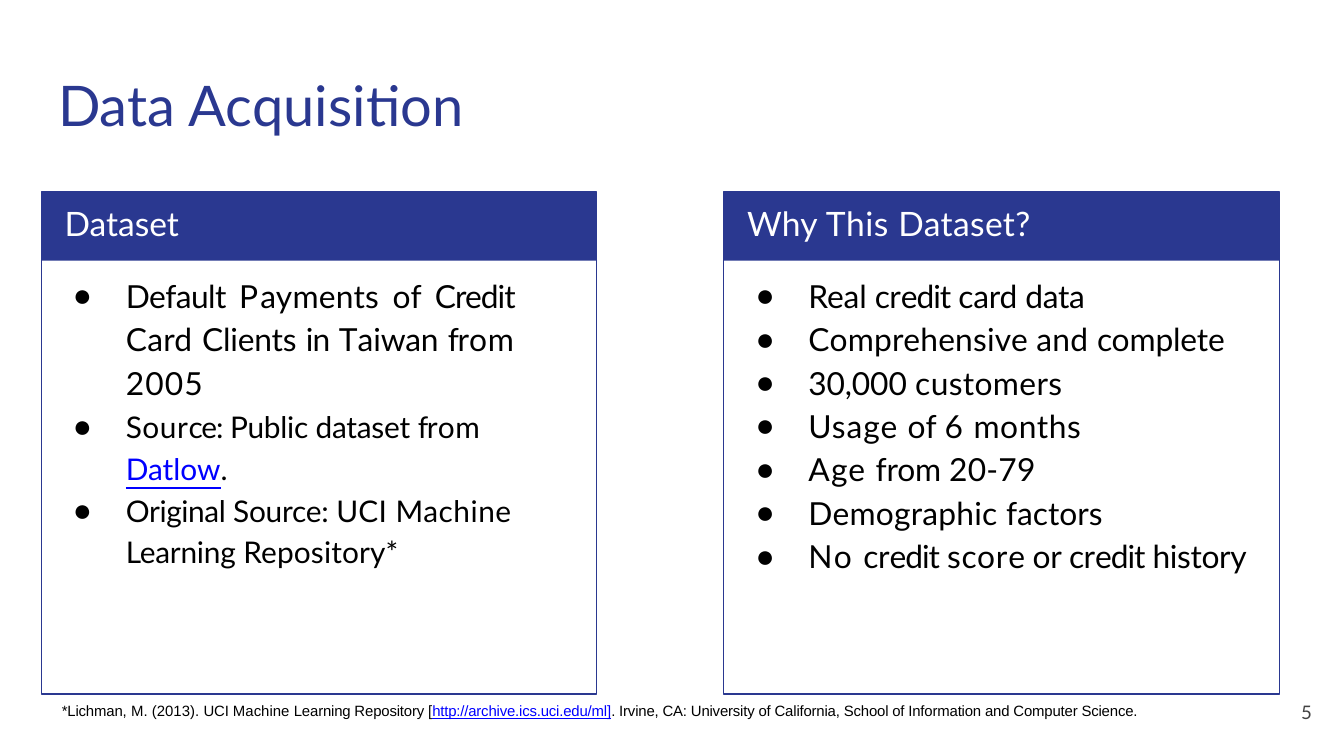
from lxml.etree import SubElement
from pptx import Presentation
from pptx.dml.color import RGBColor
from pptx.enum.shapes import MSO_SHAPE
from pptx.enum.text import MSO_ANCHOR, PP_ALIGN
from pptx.oxml.ns import qn
from pptx.util import Cm, Pt

NAVY, BLACK, WHITE, GREY, LINK = "2A3890", "000000", "FFFFFF", "434343", "0000FF"
TOP, WIDE, TALL, HEAD = 3.63, 10.5, 9.49, 1.3
LEFT, RIGHT = 0.78, 13.68

FACTS = [
    (17, 1.14, 1, [("Default ", -0.3), ("P", 1.1), ("ayments of ", 0.1), ("Credit ", -0.5),
                   ("Card ", 0.1), ("Clients ", -0.1), ("in ", -0.4), ("T", -0.7),
                   ("aiwan ", -0.1), ("fr", -0.7), ("om ", 0.4), ("2005", 0.6)]),
    (16, 1.16, 0.8, [("Sour", 0.3), ("ce: ", -0.6), ("Public dataset ", -0.1), ("fr", -0.7),
                     ("om ", 0.4), ("Datlow", 0, LINK), (".", 0)]),
    (16, 1.16, 0.4, [("Original ", -0.2), ("Source: ", -0.1), ("UCI ", 0.2),
                     ("Machine ", 0.3), ("Learning ", -0.1), ("Repository*", 0.1)]),
]
CREDIT = [("cr", -0.3), ("edit ", -0.6)]
REASONS = [
    (17, 1, 3.8, [("Real ", -0.1), *CREDIT, ("card ", -0.1), ("data", -0.2)]),
    (17, 1, 2.8, [("Comprehensive and ", 0.1), ("complete", -0.1)]),
    (17, 1, 2.8, [("30,00", -0.1), ("0 ", 0), ("customers", 0.2)]),
    (17, 1, 2.8, [("Usage ", 0.5), ("of ", 0.1), ("6 ", 0.6), ("months", 0.3)]),
    (17, 1, 2.8, [("Age ", 0.6), ("from ", -0.1), ("20-79", 0.1)]),
    (17, 1, 2.9, [("Demographic ", 0.1), ("factors", 0)]),
    (17, 1, 2.9, [("No ", 0.9), *CREDIT, ("scor", 0.4), ("e ", -0.3), ("or ", -0.2),
                  *CREDIT, ("history", -0.2)]),
]


def tint(code):
    """Turn a hex string into a colour."""
    return RGBColor.from_string(code)


def write(para, runs, size, color, face="Lato"):
    """Add runs of (text, tracking[, link colour]) to a paragraph."""
    for text, gap, *link in runs:
        run = para.add_run()
        run.text = text
        font = run.font
        font.name, font.size = face, Pt(size)
        font.color.rgb = tint(link[0] if link else color)
        if link:
            font.underline = True
        run._r.get_or_add_rPr().set("spc", str(round(gap * 100)))


def setup(frame, inset):
    """Wrap a text frame at the top with only an upper inset."""
    frame.word_wrap = True
    frame.vertical_anchor = MSO_ANCHOR.TOP
    frame.margin_left = frame.margin_right = frame.margin_bottom = 0
    frame.margin_top = Cm(inset)


def indent(para, left, hang=0, right=0):
    """Set the paragraph indents in centimetres."""
    props = para._p.get_or_add_pPr()
    for key, size in (("marL", left), ("marR", right), ("indent", -hang)):
        props.set(key, str(int(Cm(size))))
    return props


def label(slide, box, runs, size, color, face="Lato"):
    """Add a single line of text."""
    frame = slide.shapes.add_textbox(*map(Cm, box)).text_frame
    setup(frame, 0.03)
    para = frame.paragraphs[0]
    para.space_before = Pt(1)
    indent(para, 0.03)
    write(para, runs, size, color, face)


def block(slide, x, tall):
    """Add a plain rectangle at the panel top."""
    box = slide.shapes.add_shape(MSO_SHAPE.RECTANGLE, Cm(x), Cm(TOP), Cm(WIDE), Cm(tall))
    box.shadow.inherit = False
    return box


def bullets(slide, x, items, inset, right):
    """Add a bulleted list below a panel header."""
    frame = slide.shapes.add_textbox(Cm(x), Cm(5.1), Cm(WIDE), Cm(5.8)).text_frame
    setup(frame, inset)
    for i, (size, lead, before, runs) in enumerate(items):
        para = frame.add_paragraph() if i else frame.paragraphs[0]
        para.line_spacing, para.space_before = lead, Pt(before)
        if lead == 1.14:
            para.alignment = PP_ALIGN.JUSTIFY
        props = indent(para, 1.6, 1, right)
        if size == 16:
            SubElement(props, qn("a:buSzPct")).set("val", "106000")
        SubElement(props, qn("a:buFont")).set("typeface", "Arial")
        SubElement(props, qn("a:buChar")).set("char", "●")
        write(para, runs, size, BLACK)


def panel(slide, x, title, items, inset, right=0):
    """Add an outlined panel with header and list."""
    edge = block(slide, x, TALL)
    edge.fill.background()
    edge.line.color.rgb = tint(NAVY)
    edge.line.width = Pt(0.75)
    head = block(slide, x, HEAD)
    head.fill.solid()
    head.fill.fore_color.rgb = tint(NAVY)
    head.line.fill.background()
    setup(head.text_frame, 0.2)
    para = head.text_frame.paragraphs[0]
    para.alignment = PP_ALIGN.LEFT
    para.space_before = Pt(6)
    indent(para, 0.44)
    write(para, title, 18, WHITE)
    bullets(slide, x, items, inset, right)


def main():
    """Build and save the slide."""
    deck = Presentation()
    deck.slide_width, deck.slide_height = Cm(25.4), Cm(14.29)
    slide = deck.slides.add_slide(deck.slide_layouts[6])
    label(slide, (1.07, 1.3, 9, 1.35), [("Dat", 0), ("a Acquisition", 0.1)], 30, NAVY)
    label(slide, (24.56, 13.21, 0.5, 0.48), [("5", 0.3)], 10, GREY)
    why = [("Why ", 0.1), ("This ", 0.3), ("Dataset?", 0.2)]
    panel(slide, RIGHT, why, REASONS, 0.13)
    note = [("*Lichman,", -0.1), (" M. (2013). ", 0), ("UCI ", -0.1), ("Machine ", 0),
            ("Learning Repository [", -0.1), ("http://archive.ics.uci.edu/ml]", -0.1, LINK),
            (". Irvine, CA: University of California, School of Information"
             " and Computer Science.", -0.1)]
    label(slide, (1.14, 13.23, 21.5, 0.41), note, 8, BLACK, "Arial")
    panel(slide, LEFT, [("Dataset", 0)], FACTS, 0.03, 1.55)
    deck.save("out.pptx")


if __name__ == "__main__":
    main()
